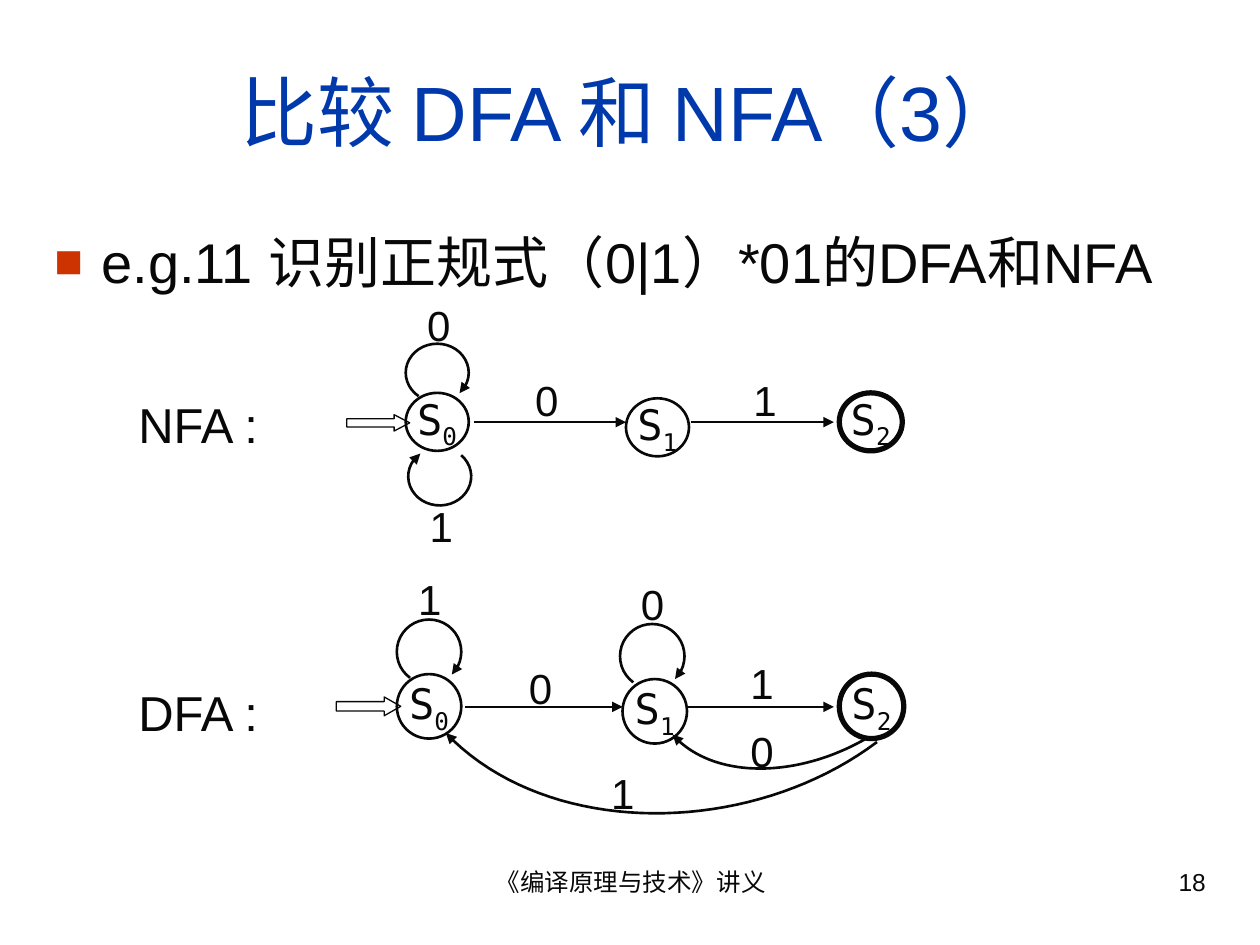
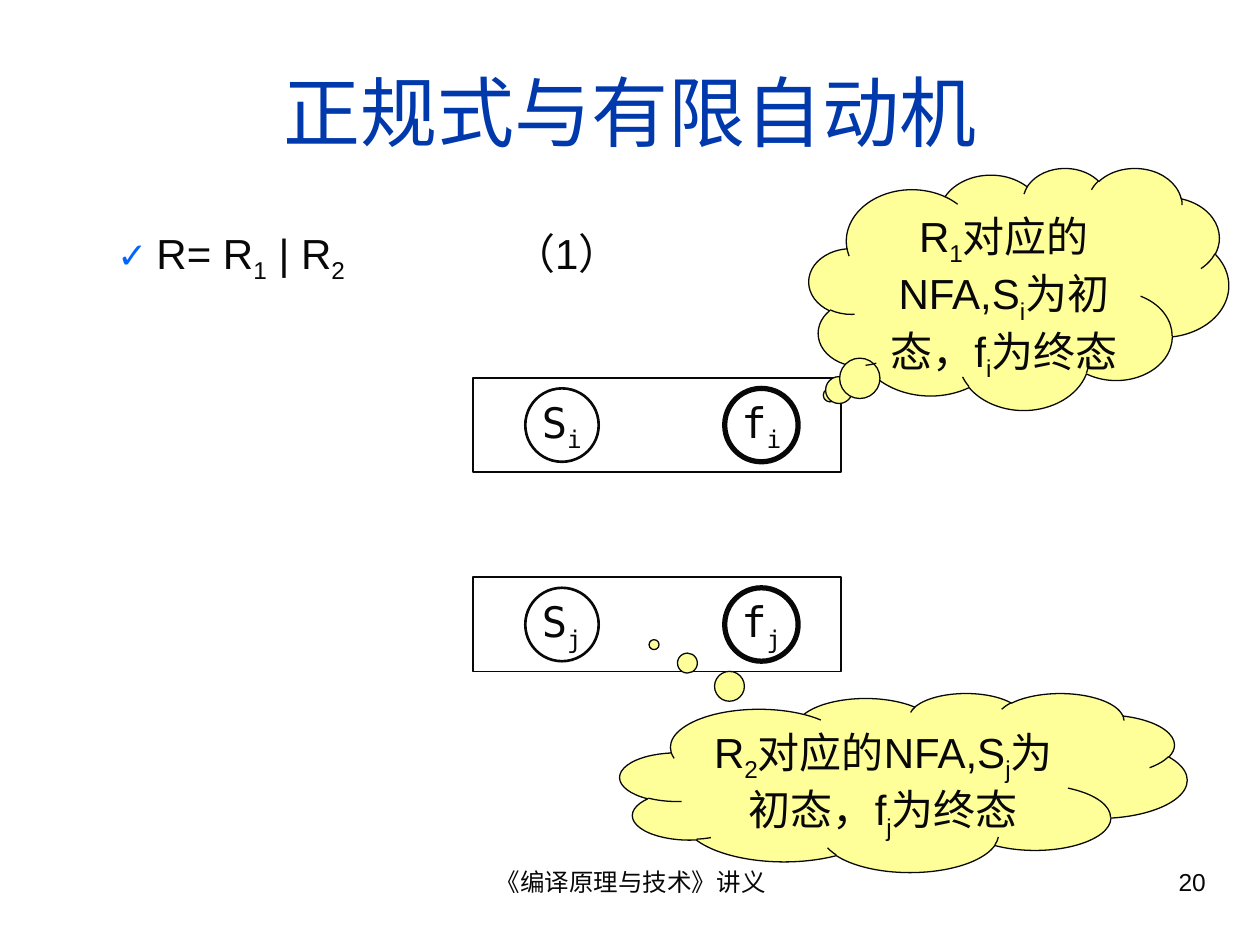
"""Build two lecture slides that compare automata and turn a regular expression into one."""
import math
from dataclasses import dataclass

import pptx
import pptx.dml.color
import pptx.enum.shapes
import pptx.enum.text
import pptx.oxml.ns
import pptx.util
from lxml import etree
from pptx.util import Cm, Pt

INK = "080808"
TITLE_BLUE = "0039AC"
BULLET_RED = "CC3300"
BULLET_BLUE = "0066FF"
CLOUD_YELLOW = "FFFF99"
BODY_FONT = "Arial"
STATE_FONT = "DejaVu Sans Mono"
FOOTER = "《编译原理与技术》讲义"
SHAPES = pptx.enum.shapes.MSO_SHAPE
ALIGN = pptx.enum.text.PP_ALIGN
ANCHOR = pptx.enum.text.MSO_ANCHOR


@dataclass(frozen=True)
class State:
    name: str
    left: float
    top: float
    final: bool = False


@dataclass(frozen=True)
class Label:
    text: str
    left: float
    top: float


@dataclass(frozen=True)
class Loop:
    left: float
    top: float
    turn: float = 0


@dataclass(frozen=True)
class Automaton:
    caption: Label
    state_size: tuple[float, float]
    states: list[State]
    start_arrow: tuple[float, float, float, float]
    start_arrow_head: float
    edge_height: float
    edges: list[tuple[float, float]]
    loops: list[Loop]
    curves: list[list[tuple[float, float]]]
    labels: list[Label]


@dataclass(frozen=True)
class Cloud:
    text: str
    box: tuple[float, float, float, float]
    pointer: tuple[float, float]


NFA = Automaton(
    caption=Label("NFA :", 2.54, 7.82),
    state_size=(1.27, 1.17),
    states=[State("S_0", 8.18, 7.92), State("S_1", 12.62, 8.03), State("S_2", 16.92, 7.92, True)],
    start_arrow=(6.99, 8.36, 1.27, 0.33),
    start_arrow_head=0.95,
    edge_height=8.51,
    edges=[(9.55, 12.62), (13.92, 16.81)],
    loops=[Loop(8.18, 6.93), Loop(8.23, 9.02, 187)],
    curves=[],
    labels=[Label("0", 8.36, 5.92), Label("0", 10.54, 7.42),
            Label("1", 14.94, 7.42), Label("1", 8.41, 9.96)],
)
DFA = Automaton(
    caption=Label("DFA :", 2.54, 13.64),
    state_size=(1.3, 1.3),
    states=[State("S_0", 8, 13.59), State("S_1", 12.55, 13.69), State("S_2", 16.92, 13.59, True)],
    start_arrow=(6.78, 14.05, 1.3, 0.38),
    start_arrow_head=0.88,
    edge_height=14.25,
    edges=[(9.37, 12.55), (13.84, 16.81)],
    loops=[Loop(8, 12.49), Loop(12.5, 12.58)],
    curves=[[(17.68, 14.96), (15.14, 16.87), (11.06, 16.94), (8.99, 14.78)],
            [(17.48, 14.88), (16.03, 15.72), (14.35, 15.7), (13.56, 14.81)]],
    labels=[Label("1", 8.18, 11.43), Label("0", 12.67, 11.53), Label("0", 10.41, 13.23),
            Label("1", 14.88, 13.13), Label("0", 14.88, 14.5), Label("1", 12.07, 15.34)],
)
CLOUDS = [
    Cloud("R_1_对应的NFA,S_i_为初态，f_i_为终态", (16.31, 3.38, 8.46, 4.88), (-0.45, 0.44)),
    Cloud("R_2_对应的NFA,S_j_为初态，f_j_为终态", (12.5, 13.97, 11.43, 3.61), (-0.44, -0.77)),
]


def rgb(color: str):
    return pptx.dml.color.RGBColor.from_string(color)


def lengths(*values: float) -> list:
    return [Cm(value) for value in values]


def add_element(parent, tag: str, **attributes: str):
    element = etree.SubElement(parent, pptx.oxml.ns.qn(tag))
    for name, value in attributes.items():
        element.set(name, value)
    return element


def write_text(shape, text: str, *, size: float, font=BODY_FONT, color=INK,
               align=ALIGN.LEFT, anchor=ANCHOR.TOP, wrap=True):
    """Write one paragraph; parts between underscores become subscripts."""
    frame = shape.text_frame
    frame.auto_size = pptx.enum.text.MSO_AUTO_SIZE.NONE
    frame.word_wrap = wrap
    frame.vertical_anchor = anchor
    paragraph = frame.paragraphs[0]
    paragraph.alignment = align
    paragraph.space_before = Pt(0)
    for index, part in enumerate(text.split("_")):
        if not part:
            continue
        run = paragraph.add_run()
        run.text = part
        run.font.size = Pt(size)
        run.font.name = font
        run.font.color.rgb = rgb(color)
        if index % 2:
            run.font._element.set("baseline", "-25000")
    return paragraph


def place(shape, *box: float) -> None:
    shape.left, shape.top, shape.width, shape.height = lengths(*box)


def add_text(slide, text: str, box: tuple, **text_format) -> None:
    write_text(slide.shapes.add_textbox(*lengths(*box)), text, **text_format)


def style_outline(shape, width: float, fill: str | None = None) -> None:
    shape.shadow.inherit = False
    shape.line.color.rgb = rgb(INK)
    shape.line.width = Pt(width)
    if fill:
        shape.fill.solid()
        shape.fill.fore_color.rgb = rgb(fill)
    else:
        shape.fill.background()


def add_outline(slide, kind, box: tuple, width: float, fill: str | None = None):
    shape = slide.shapes.add_shape(kind, *lengths(*box))
    style_outline(shape, width, fill)
    return shape


def add_arrowhead(shape) -> None:
    add_element(shape.line._get_or_add_ln(), "a:tailEnd", type="triangle")


def add_edge(slide, start: float, end: float, height: float) -> None:
    connector = slide.shapes.add_connector(
        pptx.enum.shapes.MSO_CONNECTOR.STRAIGHT, *lengths(start, height, end, height))
    connector.line.color.rgb = rgb(INK)
    connector.line.width = Pt(1.5)
    add_arrowhead(connector)
    add_element(connector._element.spPr, "a:effectLst")


def add_curve(slide, points: list[tuple[float, float]]) -> None:
    corners = [tuple(lengths(*point)) for point in points]
    builder = slide.shapes.build_freeform(*corners[0])
    builder.add_line_segments(corners[1:], close=False)
    curve = builder.convert_to_shape()
    style_outline(curve, 1.5)
    add_arrowhead(curve)


def arc_points(loop: Loop, size: tuple[float, float]) -> list[tuple[float, float]]:
    radius_x, radius_y = size[0] / 2, size[1] / 2
    angles = [math.radians(degree + loop.turn) for degree in range(126, 406, 9)]
    return [(loop.left + radius_x * (1 + math.cos(angle)),
             loop.top + radius_y * (1 + math.sin(angle))) for angle in angles]


def bezier_points(controls: list[tuple[float, float]], steps: int = 40) -> list[tuple[float, float]]:
    def blend(values, t):
        return sum(math.comb(3, k) * (1 - t) ** (3 - k) * t ** k * v for k, v in enumerate(values))

    return [tuple(blend(axis, step / steps) for axis in zip(*controls)) for step in range(steps + 1)]


def add_state(slide, state: State, size: tuple[float, float]) -> None:
    shape = add_outline(slide, SHAPES.OVAL, (state.left, state.top, *size), 3 if state.final else 1.5)
    write_text(shape, state.name, size=24, font=STATE_FONT,
               align=ALIGN.CENTER, anchor=ANCHOR.MIDDLE, wrap=False)


def add_automaton(slide, automaton: Automaton) -> None:
    caption = automaton.caption
    add_text(slide, caption.text, (caption.left, caption.top, 3.38, 1.45), size=28)
    for state in automaton.states:
        add_state(slide, state, automaton.state_size)
    arrow = add_outline(slide, SHAPES.RIGHT_ARROW, automaton.start_arrow, 0.75)
    arrow.adjustments[1] = automaton.start_arrow_head
    for start, end in automaton.edges:
        add_edge(slide, start, end, automaton.edge_height)
    for loop in automaton.loops:
        add_curve(slide, arc_points(loop, automaton.state_size))
    for controls in automaton.curves:
        add_curve(slide, bezier_points(controls))
    for label in automaton.labels:
        add_text(slide, label.text, (label.left, label.top, 1.27, 1.27), size=24)


def add_cloud(slide, cloud: Cloud) -> None:
    shape = add_outline(slide, SHAPES.CLOUD_CALLOUT, cloud.box, 0.75, CLOUD_YELLOW)
    shape.adjustments[0], shape.adjustments[1] = cloud.pointer
    write_text(shape, cloud.text, size=24, align=ALIGN.CENTER)


def add_bullet(paragraph, character: str, color: str, margin: float, hanging: float,
               tab: float | None = None) -> None:
    properties = paragraph._p.get_or_add_pPr()
    properties.set("marL", str(Cm(margin)))
    properties.set("indent", str(-Cm(hanging)))
    add_element(add_element(properties, "a:buClr"), "a:srgbClr", val=color)
    add_element(properties, "a:buSzPct", val="85000")
    add_element(properties, "a:buFont", typeface=BODY_FONT)
    add_element(properties, "a:buChar", char=character)
    if tab:
        add_element(add_element(properties, "a:tabLst"), "a:tab", pos=str(Cm(tab)), algn="l")


def add_lecture_slide(presentation, title: str, number: str):
    slide = presentation.slides.add_slide(presentation.slide_layouts[1])
    place(slide.shapes.title, 0.84, 0.64, 23.72, 3.18)
    write_text(slide.shapes.title, title, size=44, color=TITLE_BLUE,
               align=ALIGN.CENTER, anchor=ANCHOR.MIDDLE)
    add_text(slide, FOOTER, (8.69, 17.35, 8.05, 1.32), size=14, align=ALIGN.CENTER)
    add_text(slide, number, (18.21, 17.35, 6.35, 1.32), size=14, align=ALIGN.RIGHT)
    return slide


def build_comparison(presentation) -> None:
    slide = add_lecture_slide(presentation, "比较 DFA 和 NFA（3）", "18")
    body = slide.placeholders[1]
    place(body, 0.84, 4.45, 23.72, 12.5)
    paragraph = write_text(body, "e.g.11 识别正规式（0|1）*01的DFA和NFA", size=32)
    add_bullet(paragraph, "■", BULLET_RED, 0.95, 0.95)
    for automaton in (NFA, DFA):
        add_automaton(slide, automaton)


def build_alternation(presentation) -> None:
    slide = add_lecture_slide(presentation, "正规式与有限自动机", "20")
    body = slide.placeholders[1]
    place(body, 0.84, 4.45, 23.72, 1.47)
    paragraph = write_text(body, "R= R_1_ | R_2_\t（1）", size=24)
    paragraph.level = 1
    add_bullet(paragraph, "✓", BULLET_BLUE, 2.06, 0.79, tab=9.25)
    for index, top in (("i", 7.62), ("j", 11.64)):
        add_outline(slide, SHAPES.RECTANGLE, (9.53, top, 7.42, 1.9), 1)
        add_state(slide, State(f"S_{index}", 10.59, top + 0.21), (1.48, 1.48))
        add_state(slide, State(f"f_{index}", 14.61, top + 0.21, True), (1.48, 1.48))
    for cloud in CLOUDS:
        add_cloud(slide, cloud)


def main() -> None:
    presentation = pptx.Presentation()
    presentation.slide_width, presentation.slide_height = lengths(25.4, 19.05)
    build_comparison(presentation)
    build_alternation(presentation)
    presentation.save("out.pptx")


if __name__ == "__main__":
    main()
